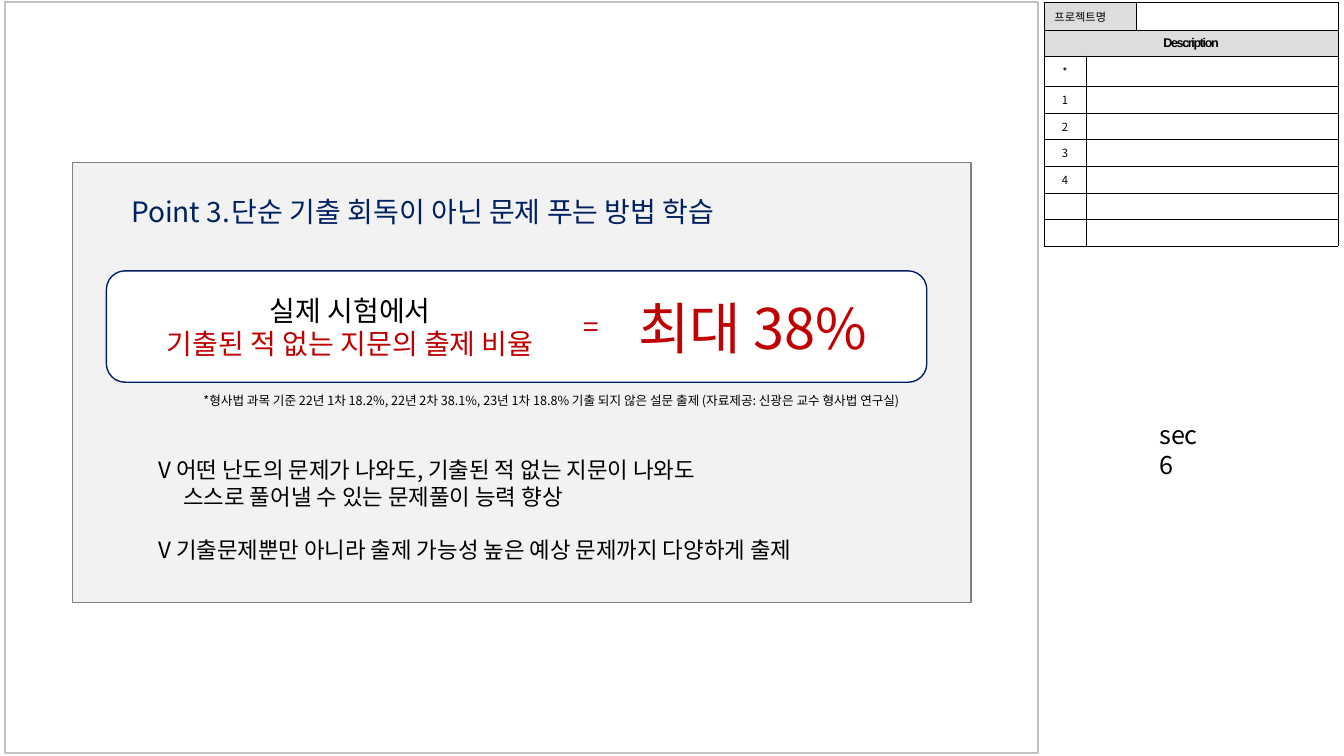
from dataclasses import dataclass

from lxml import etree
from pptx import Presentation
from pptx.dml.color import RGBColor
from pptx.enum import shapes, text
from pptx.oxml.ns import qn
from pptx.util import Pt

SANS = "Noto Sans CJK KR"
BLACK, NAVY, RED, WHITE, HEADER = "000000", "002060", "C00000", "FFFFFF", "DDDDDD"
LEFT, CENTER = text.PP_ALIGN.LEFT, text.PP_ALIGN.CENTER


@dataclass
class Line:
    """One paragraph, with its indents and gap in points."""
    words: str
    color: str = BLACK
    margin: float = 0
    first: float = 0
    before: float = 0
    tab: float = 0


@dataclass
class Box:
    left: float
    top: float
    width: float
    height: float


@dataclass
class Panel:
    box: Box
    kind: int
    line: str
    fill: str | None = None


@dataclass
class Label:
    box: Box
    lines: list[Line]
    size: float
    align: int = CENTER


def rgb(value: str) -> RGBColor:
    return RGBColor.from_string(value)


def place(shape, box: Box) -> None:
    shape.left, shape.top = Pt(box.left), Pt(box.top)
    shape.width, shape.height = Pt(box.width), Pt(box.height)


def write(frame, lines: list[Line], *, size: float, align=LEFT, font: str = SANS,
          bold: bool = False, spacing: float = 0) -> None:
    for index, line in enumerate(lines):
        paragraph = frame.add_paragraph() if index else frame.paragraphs[0]
        props = paragraph._p.get_or_add_pPr()
        props.set("marL", str(Pt(line.margin)))
        props.set("indent", str(Pt(line.first)))
        paragraph.alignment = align
        paragraph.space_before = Pt(line.before)
        etree.SubElement(props, qn("a:buNone"))
        if line.tab:
            stops = etree.SubElement(props, qn("a:tabLst"))
            etree.SubElement(stops, qn("a:tab"), pos=str(Pt(line.tab)), algn="l")
        run = paragraph.add_run()
        run.text = line.words
        run.font.size, run.font.bold, run.font.name = Pt(size), bold, font
        run.font.color.rgb = rgb(line.color)
        run_props = run._r.get_or_add_rPr()
        etree.SubElement(run_props, qn("a:ea"), typeface=font)
        if spacing:
            run_props.set("spc", str(round(spacing * 100)))


def prepare(frame) -> None:
    """Wrap the text, start it at the top and let its box grow."""
    frame.word_wrap = True
    frame.auto_size = text.MSO_AUTO_SIZE.SHAPE_TO_FIT_TEXT
    frame.vertical_anchor = text.MSO_ANCHOR.TOP


def add_panel(slide, panel: Panel):
    box = panel.box
    shape = slide.shapes.add_shape(panel.kind, Pt(box.left), Pt(box.top),
                                   Pt(box.width), Pt(box.height))
    shape.shadow.inherit = False
    shape.line.color.rgb, shape.line.width = rgb(panel.line), Pt(1)
    if panel.fill:
        shape.fill.solid()
        shape.fill.fore_color.rgb = rgb(panel.fill)
    else:
        shape.fill.background()
    return shape


def add_label(slide, label: Label) -> None:
    box = label.box
    frame = slide.shapes.add_textbox(Pt(box.left), Pt(box.top), Pt(box.width),
                                     Pt(box.height)).text_frame
    prepare(frame)
    write(frame, label.lines, size=label.size, align=label.align)


def style_cell(cell, fill: str) -> None:
    props = cell._tc.get_or_add_tcPr()
    for side in ("lnL", "lnR", "lnT", "lnB"):
        border = etree.SubElement(props, qn(f"a:{side}"), w=str(Pt(0.25)))
        paint = etree.SubElement(border, qn("a:solidFill"))
        etree.SubElement(paint, qn("a:srgbClr"), val=BLACK)
    cell.fill.solid()
    cell.fill.fore_color.rgb = rgb(fill)
    cell.vertical_anchor = text.MSO_ANCHOR.MIDDLE


def add_description(slide) -> None:
    marks = ["*", "1", "2", "3", "4", "", ""]
    heights = [20, 18.6, 21.4] + [19.05] * 6
    widths = [29.5, 36, 144]
    table = slide.shapes.add_table(len(heights), len(widths), Pt(746), Pt(1.5),
                                   Pt(sum(widths)), Pt(sum(heights))).table
    table.first_row = table.horz_banding = False
    for column, width in zip(table.columns, widths):
        column.width = Pt(width)
    for row, height in zip(table.rows, heights):
        row.height = Pt(height)

    for r in range(len(heights)):
        for c in range(len(widths)):
            style_cell(table.cell(r, c), HEADER if r == 1 or (r == 0 and c < 2) else WHITE)

    table.cell(0, 0).merge(table.cell(0, 1))
    table.cell(1, 0).merge(table.cell(1, 2))
    write(table.cell(0, 0).text_frame, [Line("프로젝트명")], size=8)
    write(table.cell(1, 0).text_frame, [Line("Description")], size=9, align=CENTER,
          font="Arial", bold=True, spacing=-1)
    for r, mark in enumerate(marks, start=2):
        table.cell(r, 1).merge(table.cell(r, 2))
        number = table.cell(r, 0)
        number.margin_left = number.margin_right = Pt(2.88)
        if mark:
            write(number.text_frame, [Line(mark)], size=8, align=CENTER)

    for cell in table.iter_cells():
        if not cell.text_frame.text:
            etree.SubElement(cell.text_frame.paragraphs[0]._p, qn("a:endParaRPr"), sz="800")


def main() -> None:
    deck = Presentation()
    deck.slide_width, deck.slide_height = Pt(960), Pt(540)
    slide = deck.slides.add_slide(deck.slide_layouts[1])
    heading, benefits = slide.placeholders

    rectangle = shapes.MSO_SHAPE.RECTANGLE
    rounded = shapes.MSO_SHAPE.ROUNDED_RECTANGLE
    add_panel(slide, Panel(Box(3.5, 1.5, 738, 536.5), rectangle, "C0C0C0"))
    add_description(slide)
    point = add_panel(slide, Panel(Box(51.75, 116, 642, 314.5), rectangle, "808080", "F2F2F2"))
    point.element.addnext(heading.element)
    point.element.addnext(benefits.element)

    place(benefits, Box(105.75, 322, 507.5, 85))
    prepare(benefits.text_frame)
    write(benefits.text_frame, [
        Line("V 어떤 난도의 문제가 나와도, 기출된 적 없는 지문이 나와도", margin=18, first=-18),
        Line("스스로 풀어낼 수 있는 문제풀이 능력 향상", margin=18),
        Line("V 기출문제뿐만 아니라 출제 가능성 높은 예상 문제까지 다양하게 출제",
             margin=18, first=-18, before=19.3),
    ], size=16)

    place(heading, Box(86.5, 135.5, 515, 31.5))
    prepare(heading.text_frame)
    write(heading.text_frame,
          [Line("Point 3.\t단순 기출 회독이 아닌 문제 푸는 방법 학습", NAVY, tab=84)], size=20)

    add_panel(slide, Panel(Box(76, 193.5, 586, 79.5), rounded, NAVY, WHITE))
    labels = [
        Label(Box(86.5, 206, 327.5, 55.5),
              [Line("실제 시험에서"), Line("기출된 적 없는 지문의 출제 비율", RED)], 20),
        Label(Box(403, 217.5, 38, 31.5), [Line("=", RED)], 20),
        Label(Box(435.5, 206, 204.5, 55.5), [Line("최대 38%", RED)], 40),
        Label(Box(119, 277, 549.5, 18),
              [Line("*형사법 과목 기준 22년 1차 18.2%, 22년 2차 38.1%, 23년 1차 18.8% "
                    "기출 되지 않은 설문 출제 (자료제공: 신광은 교수 형사법 연구실)")], 9),
        Label(Box(821, 296, 50.4, 29), [Line("sec6")], 18, LEFT),
    ]
    for label in labels:
        add_label(slide, label)

    deck.save("out.pptx")


if __name__ == "__main__":
    main()
